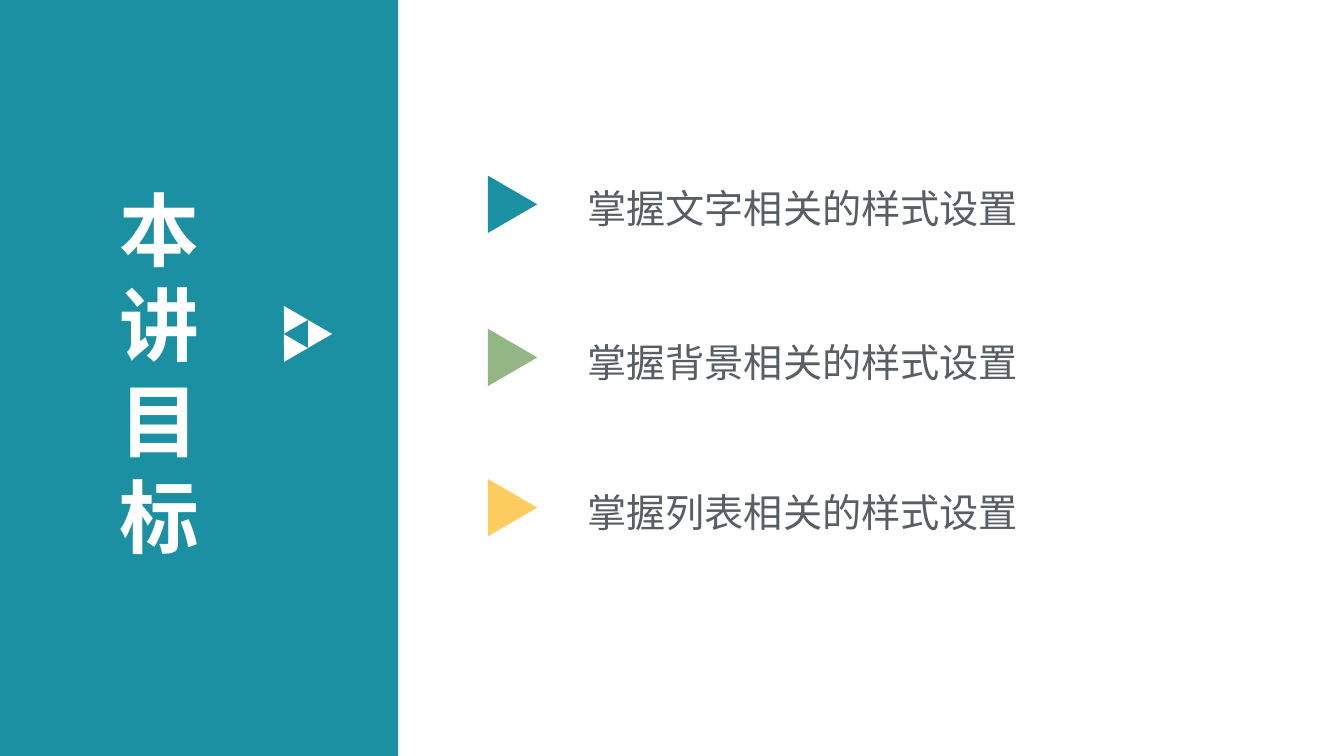
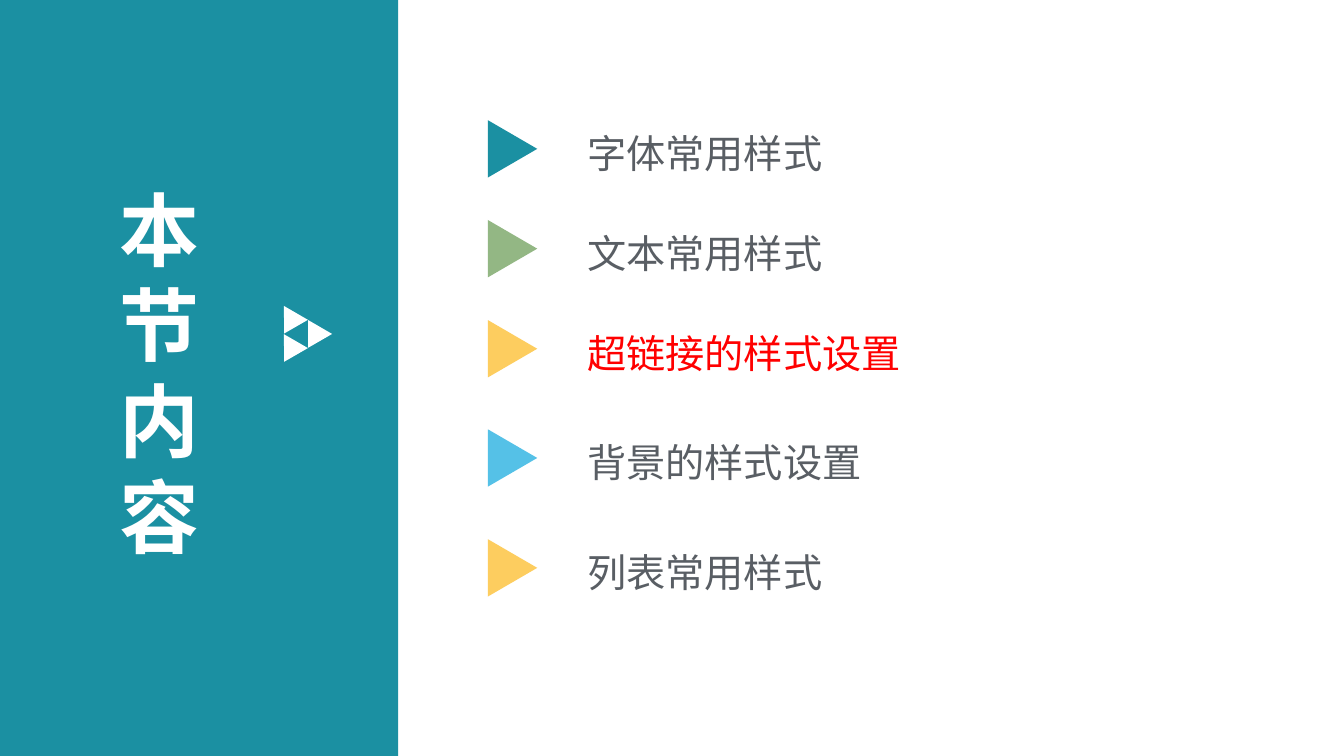
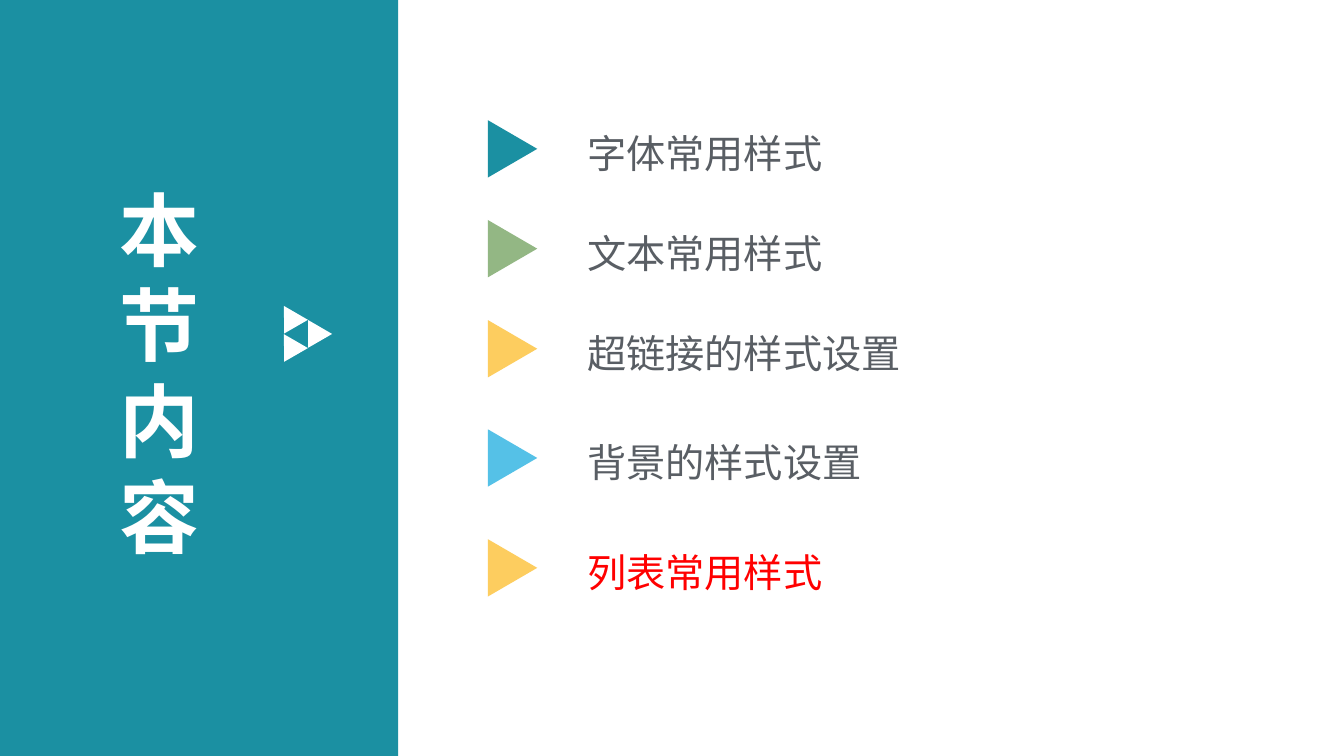
from lxml import etree
from pptx import Presentation
from pptx.dml.color import RGBColor
from pptx.enum.shapes import MSO_SHAPE
from pptx.enum.text import MSO_ANCHOR, MSO_AUTO_SIZE, PP_ALIGN
from pptx.oxml.ns import qn
from pptx.util import Pt

RECTANGLE = MSO_SHAPE.RECTANGLE
TRIANGLE = MSO_SHAPE.ISOSCELES_TRIANGLE
TOP = MSO_ANCHOR.TOP
NO_AUTOFIT = MSO_AUTO_SIZE.NONE
LEFT = PP_ALIGN.LEFT

FONT = "Noto Sans CJK SC"
COLORS = {
    "teal": "1B90A2",
    "green": "93B784",
    "yellow": "FDCD5F",
    "blue": "55C1E7",
    "white": "FFFFFF",
    "text": "595E64",
    "red": "FF0000",
}
MARKERS = ["teal", "green", "yellow", "blue", "yellow"]

GOALS = ["掌握文字相关的样式设置", "掌握背景相关的样式设置", "掌握列表相关的样式设置"]
GOAL_TOPS = [125.3, 234.7, 342]
TOPICS = ["字体常用样式", "文本常用样式", "超链接的样式设置", "背景的样式设置", "列表常用样式"]
TOPIC_TOPS = [85.7, 157, 228.5, 306.5, 385]


class Deck:
    """Draws agenda slides in one shared style."""

    def __init__(self):
        self.prs = Presentation()
        self.prs.slide_width, self.prs.slide_height = Pt(960), Pt(540)
        self.slide = None

    def add_shape(self, shapes, kind, box, color, rotation=0):
        shape = shapes.add_shape(kind, *map(Pt, box))
        shape.shadow.inherit = False
        shape.fill.solid()
        shape.fill.fore_color.rgb = RGBColor.from_string(COLORS[color])
        shape.line.fill.background()
        shape.rotation = rotation
        return shape

    def set_text(self, holder, text, size, spacing, color, bold=False):
        frame = holder.text_frame
        frame.text = text
        frame.word_wrap = True
        frame.auto_size = NO_AUTOFIT
        frame.vertical_anchor = TOP
        frame.margin_left = frame.margin_right = Pt(8.5)
        frame.margin_top = frame.margin_bottom = Pt(4.25)
        paragraph = frame.paragraphs[0]
        paragraph.alignment = LEFT
        paragraph.line_spacing = Pt(spacing)
        run = paragraph.runs[0]
        run.font.size = Pt(size)
        run.font.bold = bold
        run.font.color.rgb = RGBColor.from_string(COLORS[color])
        run.font.name = FONT
        latin = run._r.rPr.find(qn("a:latin"))
        latin.addnext(etree.Element(qn("a:ea"), typeface=FONT))

    def add_panel(self):
        panel = self.add_shape(self.slide.shapes, RECTANGLE, (0, 0, 284.4, 540), "teal")
        self.slide.shapes._spTree.insert(2, panel._element)

    def add_title(self, text):
        title = self.slide.shapes.title
        title.left, title.top, title.width, title.height = map(Pt, (77, 124.5, 125.3, 285))
        self.set_text(title, text, 57, 68.4, "white", bold=True)

    def add_emblem(self):
        emblem = self.slide.shapes.add_group_shape()
        for left, top in [(197.3, 217.4), (197.3, 237.6), (214.6, 227.5)]:
            self.add_shape(emblem.shapes, TRIANGLE, (left, top, 19.7, 17.1), "white", 330)

    def add_item(self, text, top, marker, color):
        self.add_shape(self.slide.shapes, TRIANGLE, (345.6, top + 3, 41, 35.3), marker, 90)
        label = self.slide.shapes.add_textbox(*map(Pt, (411.1, top, 437, 42.5)))
        self.set_text(label, text, 28, 36, color)

    def add_agenda(self, title, items, tops, current=None):
        self.slide = self.prs.slides.add_slide(self.prs.slide_layouts[5])
        self.add_panel()
        self.add_title(title)
        self.add_emblem()
        for text, top, marker in zip(items, tops, MARKERS):
            self.add_item(text, top, marker, "red" if text == current else "text")


def main():
    deck = Deck()
    deck.add_agenda("本讲目标", GOALS, GOAL_TOPS)
    for current in (TOPICS[2], TOPICS[4]):
        deck.add_agenda("本节内容", TOPICS, TOPIC_TOPS, current)
    deck.prs.save("out.pptx")


if __name__ == "__main__":
    main()
